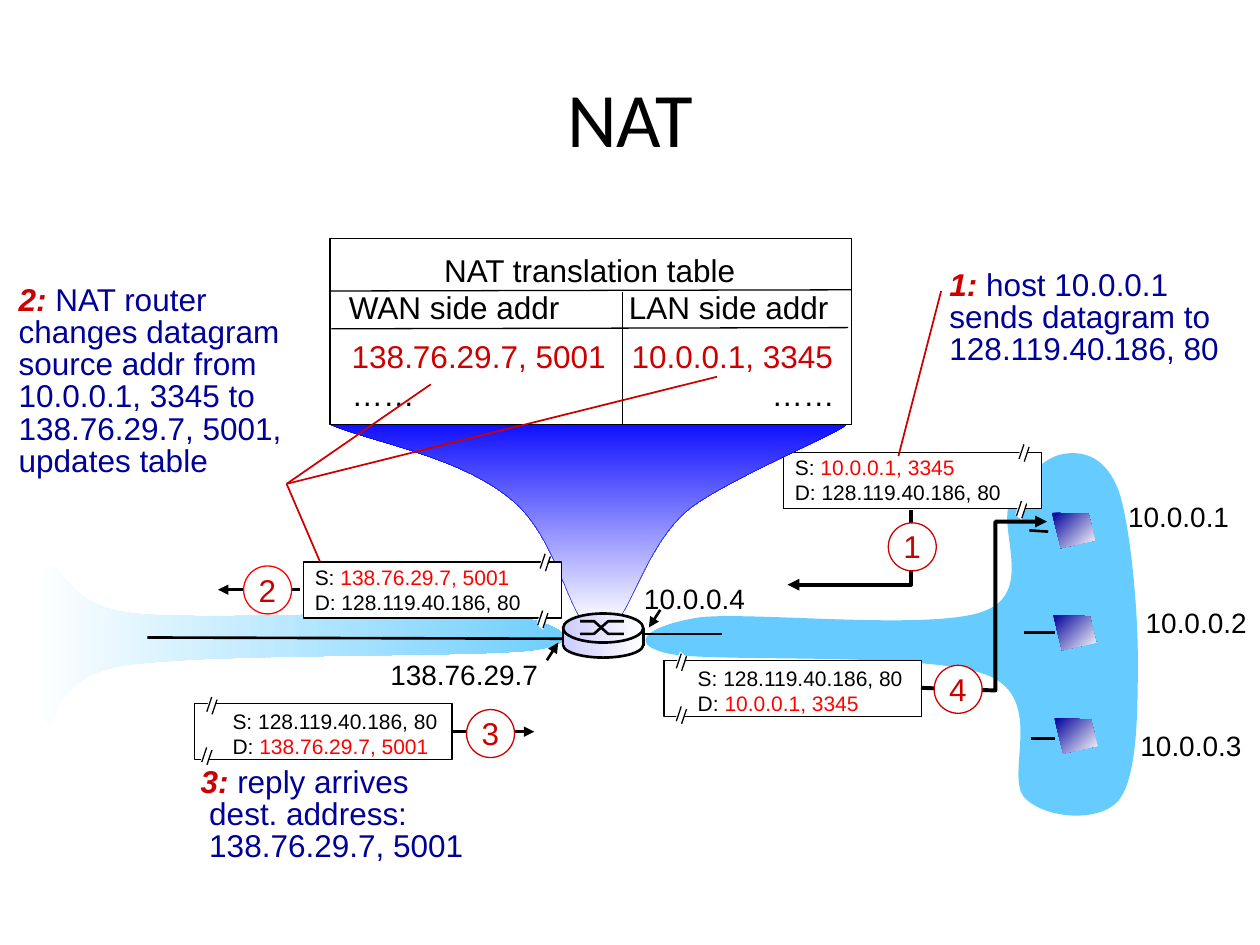
from lxml import etree
from pptx import Presentation
from pptx.dml.color import RGBColor
from pptx.enum.shapes import MSO_CONNECTOR, MSO_SHAPE
from pptx.enum.text import MSO_ANCHOR, MSO_AUTO_SIZE, PP_ALIGN
from pptx.oxml.ns import qn
from pptx.util import Pt

STRAIGHT = MSO_CONNECTOR.STRAIGHT
RECTANGLE, ELLIPSE = MSO_SHAPE.RECTANGLE, MSO_SHAPE.OVAL
TOP, MIDDLE = MSO_ANCHOR.TOP, MSO_ANCHOR.MIDDLE
LEFT, CENTER = PP_ALIGN.LEFT, PP_ALIGN.CENTER
GROW = MSO_AUTO_SIZE.SHAPE_TO_FIT_TEXT

BLACK, WHITE, RED, DARK_RED = "000000", "FFFFFF", "FF0000", "CC0000"
NAVY, SKY, BLUE, LILAC = "000099", "66CCFF", "0000FF", "CCCCFF"
ROUTER_FILL = (LILAC, WHITE, 0)

# Outlines: a start point, then curves (six numbers) or straight parts (two)
WAN_CLOUD = [(285.8, 350.6), (248.4, 347.8, 121, 355, 77, 350.6),
             (33.8, 346.3, 35.3, 315.4, 26.6, 325.4),
             (18, 336.2, 19.4, 403.9, 26.6, 413.3),
             (33.8, 421.9, 24.5, 387.4, 71.3, 380.2),
             (117.4, 373, 268.6, 375.8, 304.6, 371.5),
             (339.8, 366.5, 317.5, 355, 285.8, 350.6)]
LAN_CLOUD = [(399.6, 352.8), (429.1, 349.2, 532.8, 360.7, 562.3, 349.2),
             (591.8, 338.4, 569.5, 301.7, 577.4, 286.6),
             (585.4, 271.4, 599, 259.9, 609.1, 259.2),
             (619.9, 257.8, 632.2, 261.4, 639.4, 280.8),
             (645.8, 300.2, 650.2, 346.3, 650.2, 375.8),
             (650.2, 405.4, 650.2, 443.5, 639.4, 457.2),
             (628.6, 470.2, 598.3, 468, 586.1, 456.5),
             (573.1, 444.2, 598.3, 399.6, 564.5, 385.9),
             (530.6, 372.2, 410.4, 378.7, 383, 373.7),
             (355.7, 367.9, 371.5, 357.1, 399.6, 352.8)]
FUNNEL = [(188.6, 242.6), (188.6, 242.6, 448.6, 234.7, 482.4, 242.6),
          (492.5, 241.9, 415.4, 273.6, 393.8, 290.9),
          (371.5, 308.9, 361.4, 345.6, 352.1, 355.7), (333.4, 355.7),
          (323.3, 343.4, 315.4, 303.1, 290.9, 284.4),
          (261.4, 260.6, 212.4, 252.7, 188.6, 242.6)]


def rgb(value):
    return RGBColor.from_string(value)


def style(shape, fill=None, line=None, width=0.75):
    """Fill is a colour, None, or (first colour, last colour, angle)."""
    shape.shadow.inherit = False
    if fill is None:
        shape.fill.background()
    elif isinstance(fill, tuple):
        first, last, angle = fill
        shape.fill.gradient()
        shape.fill.gradient_angle = (360 - angle) % 360
        for stop, colour in zip(shape.fill.gradient_stops, (first, last)):
            stop.color.rgb = rgb(colour)
    else:
        shape.fill.solid()
        shape.fill.fore_color.rgb = rgb(fill)
    if line:
        shape.line.color.rgb = rgb(line)
        shape.line.width = Pt(width)
    else:
        shape.line.fill.background()


def add_arrowhead(shape):
    etree.SubElement(shape.line._get_or_add_ln(), qn("a:tailEnd"), type="triangle")


def add_preset(slide, kind, x, y, w, h, **look):
    shape = slide.shapes.add_shape(kind, Pt(x), Pt(y), Pt(w), Pt(h))
    style(shape, **look)
    return shape


def add_outline(slide, parts, closed=True, **look):
    """Each part is a point, or a curve as two control points and an end."""
    points = [part[i:i + 2] for part in parts for i in range(0, len(part), 2)]
    (x, y), *others = [(Pt(px), Pt(py)) for px, py in points]
    builder = slide.shapes.build_freeform(x, y)
    builder.add_line_segments(others, close=closed)
    shape = builder.convert_to_shape()
    segments = iter(list(shape._element.iter(qn("a:lnTo"))))
    for part in parts[1:]:
        segment = next(segments)
        if len(part) == 6:
            segment.tag = qn("a:cubicBezTo")
            for _ in range(2):
                following = next(segments)
                segment.append(following[0])
                following.getparent().remove(following)
    style(shape, **look)
    return shape


def add_line(slide, x1, y1, x2, y2, colour=BLACK, width=0.75, arrow=False):
    line = slide.shapes.add_connector(STRAIGHT, Pt(x1), Pt(y1), Pt(x2), Pt(y2))
    line.line.color.rgb = rgb(colour)
    line.line.width = Pt(width)
    if arrow:
        add_arrowhead(line)
    etree.SubElement(line._element.spPr, qn("a:effectLst"))
    return line


def add_text(slide, x, y, w, h, rows, size=18, colour=BLACK, font="Arial",
             aligns=(LEFT,), spacing=None, tabs=(), anchor=TOP, wrap=False, inset=7.2):
    """Rows hold strings or lists of (text, colour, emphasis) runs."""
    frame = slide.shapes.add_textbox(Pt(x), Pt(y), Pt(w), Pt(h)).text_frame
    frame.word_wrap, frame.vertical_anchor = wrap, anchor
    frame.margin_left = frame.margin_right = Pt(inset)
    if not wrap:
        frame.auto_size = GROW
    for i, row in enumerate(rows):
        paragraph = frame.paragraphs[0] if i == 0 else frame.add_paragraph()
        paragraph.alignment = aligns[min(i, len(aligns) - 1)]
        if spacing:
            paragraph.line_spacing = spacing
        if i < len(tabs) and tabs[i]:
            stops = etree.SubElement(paragraph._p.get_or_add_pPr(), qn("a:tabLst"))
            etree.SubElement(stops, qn("a:tab"), pos=str(Pt(tabs[i])), algn="l")
        for text, run_colour, strong in ([(row, colour, False)] if isinstance(row, str) else row):
            run = paragraph.add_run()
            run.text = text
            run.font.name, run.font.size = font, Pt(size)
            run.font.bold = run.font.italic = strong
            run.font.color.rgb = rgb(run_colour)


def add_address(slide, x, y, address, w=72.7):
    add_text(slide, x, y, w, 26.6, [address], size=16)


def add_note(slide, x, y, w, h, number, first, *others):
    rows = [[(number + ": ", DARK_RED, True), (first, NAVY, False)], *others]
    add_text(slide, x, y, w, h, rows, colour=NAVY, spacing=0.85)


def add_badge(slide, x, y, number, line=DARK_RED):
    add_preset(slide, ELLIPSE, x, y, 27.4, 27.4, fill=WHITE, line=line)
    add_text(slide, x + 1.5, y - 0.9, 24.4, 28.8, [number], colour=DARK_RED)


def add_packet(slide, x, y, source, target, marked, text_offset, breaks):
    """A datagram box whose edges are cut by a pair of break marks."""
    box = add_preset(slide, RECTANGLE, x, y, 147.3, 32, fill=WHITE, line=BLACK)
    rows = [[(label + ": ", BLACK, False),
             (address, RED if label == marked else BLACK, False)]
            for label, address in (("S", source), ("D", target))]
    dx, dy = text_offset
    add_text(slide, x + dx, y + dy, 139, 36, rows, size=12, wrap=True)
    for dx, dy in breaks:
        bx, by = x + dx, y + dy
        add_outline(slide, [(bx + 2.7, by), (bx, by + 9), (bx + 3.6, by + 12.2),
                            (bx + 6.3, by + 2.9)], fill=WHITE)
        for shift_x, shift_y in ((0, 0), (3, 1.5)):
            add_line(slide, bx + 3.4 + shift_x, by + 1.2 + shift_y,
                     bx + 0.6 + shift_x, by + 9.6 + shift_y)
    return box


def add_router(slide):
    x, w = 321.8, 45.8
    add_preset(slide, ELLIPSE, x, 361.4, w, 14.4, fill=ROUTER_FILL, line=BLACK, width=1.5)
    add_preset(slide, RECTANGLE, x, 360, w, 8.6, fill=ROUTER_FILL)
    add_preset(slide, ELLIPSE, x, 350.6, w, 16.6, fill=ROUTER_FILL, line=BLACK, width=1.5)
    for start, end in ((362.2, 355), (355, 362.2)):
        add_outline(slide, [(331.5, start), (339.5, start), (347.5, end), (356.5, end)],
                    closed=False, line=BLACK, width=1.5)
    for side in (x, x + w):
        add_line(slide, side, 358.6, side, 369.4, width=1.5)


def main():
    prs = Presentation()
    prs.slide_width, prs.slide_height = Pt(720), Pt(540)
    slide = prs.slides.add_slide(prs.slide_layouts[6])
    add_text(slide, 36, 21.6, 648, 90, ["NAT"], size=44, font="Calibri",
             aligns=(CENTER,), anchor=MIDDLE, wrap=True)

    # Networks, host links and addresses
    add_outline(slide, WAN_CLOUD, fill=(WHITE, SKY, 0))
    add_outline(slide, LAN_CLOUD, fill=SKY)
    add_line(slide, 365, 362.2, 412.6, 362.2, width=1.5)
    for ends in ((588.2, 303.1, 599, 303.8), (585.4, 361.4, 602.6, 361.4),
                 (589, 421.9, 602.6, 421.9)):
        add_line(slide, *ends, width=1.5)
    add_address(slide, 637.6, 282.2, "10.0.0.1")
    add_address(slide, 647.6, 342.7, "10.0.0.2")
    add_address(slide, 644.6, 413, "10.0.0.3")

    # Step 1: datagram leaves the host
    host, wan, server = "10.0.0.1, 3345", "138.76.29.7, 5001", "128.119.40.186, 80"
    add_packet(slide, 447.8, 258.5, host, server, "S", (-0.7, -2.2),
               ((133.9, -5.8), (132.5, 26.6)))
    add_arrowhead(add_outline(slide, [(520.6, 291.6), (520.6, 334.1), (450, 334.1)],
                              closed=False, line=BLACK, width=2.25))
    add_badge(slide, 507.6, 298.8, "1")
    add_address(slide, 360.9, 328.6, "10.0.0.4")
    add_line(slide, 377.3, 348.5, 370.8, 358.6, width=1.5, arrow=True)
    add_address(slide, 216, 372.2, "138.76.29.7", w=99.4)
    add_line(slide, 312.5, 377.3, 319, 367.2, width=1.5, arrow=True)
    add_note(slide, 535.5, 151.2, 169.4, 62.6, "1", "host 10.0.0.1",
             "sends datagram to", server)
    add_line(slide, 537.8, 166.3, 513.4, 260.6, DARK_RED, 1)

    # Translation table
    add_outline(slide, FUNNEL, fill=(BLUE, WHITE, 90), line=BLUE, width=0.25)
    add_preset(slide, RECTANGLE, 188.6, 136.1, 298.1, 106.6, fill=WHITE, line=BLACK)
    add_text(slide, 199.4, 139.7, 275.2, 50.4,
             ["NAT translation table", "WAN side addr\tLAN side addr"],
             aligns=(CENTER, LEFT), tabs=(None, 160), wrap=True, inset=0)
    add_line(slide, 188.6, 166.3, 486.7, 165.6)
    add_line(slide, 189.4, 187.9, 484.6, 187.2)
    add_line(slide, 355.7, 167, 355.7, 242.6)
    add_text(slide, 201, 188.9, 280, 50.4,
             [[(wan + "\t" + host, DARK_RED, False)], "……\t……"],
             tabs=(160, 240), wrap=True, inset=0)

    # Step 4: reply is passed on to the host
    add_packet(slide, 379.4, 377.3, server, host, "D", (12.2, -0.7),
               ((6.5, -5), (6.5, 25.2)))
    add_arrowhead(add_outline(slide, [(526.3, 393.1), (568.8, 394.6), (568.8, 298.1),
                                      (598.3, 298.1)],
                              closed=False, line=BLACK, width=2.25))
    add_badge(slide, 533.8, 380.2, "4")

    # Step 2: router rewrites the source address
    add_packet(slide, 173.5, 321.1, wan, server, "S", (-0.7, -2.2),
               ((134.6, -5.8), (133.2, 26.6)))
    add_line(slide, 171.4, 337, 124.6, 337, width=1.5, arrow=True)
    add_badge(slide, 139.2, 323.4, "2", line=RED)
    add_note(slide, 3.6, 159.8, 170, 117.4, "2", "NAT router", "changes datagram",
             "source addr from", "10.0.0.1, 3345 to", "138.76.29.7, 5001,", "updates table")
    for x, y in ((182.9, 321.1), (246.2, 219.6), (409.7, 215.3)):
        add_line(slide, 163.8, 276.5, x, y, DARK_RED, 1)

    # Step 3: reply arrives
    reply = add_packet(slide, 111.1, 402.1, server, wan, "D", (14.7, -1),
                       ((6.5, -5), (3.6, 23.8)))
    add_line(slide, 258.4, 418.1, 305.3, 418.1, width=1.5, arrow=True).begin_connect(reply, 3)
    add_badge(slide, 266.6, 405.5, "3")
    add_note(slide, 107.5, 435.2, 170, 62.6, "3", "reply arrives",
             " dest. address:", " 138.76.29.7, 5001")

    # Router and hosts
    add_line(slide, 84.2, 364.3, 322.6, 365, width=1.5)
    add_router(slide)
    for x, y in ((601.2, 293), (601.9, 351.4), (602.6, 410.4)):
        add_outline(slide, [(x, y), (x + 20.9, y + 0.7), (x + 24.5, y + 15.8),
                            (x + 5, y + 20.2)], fill=(NAVY, WHITE, 45))
    prs.save("out.pptx")


if __name__ == "__main__":
    main()
